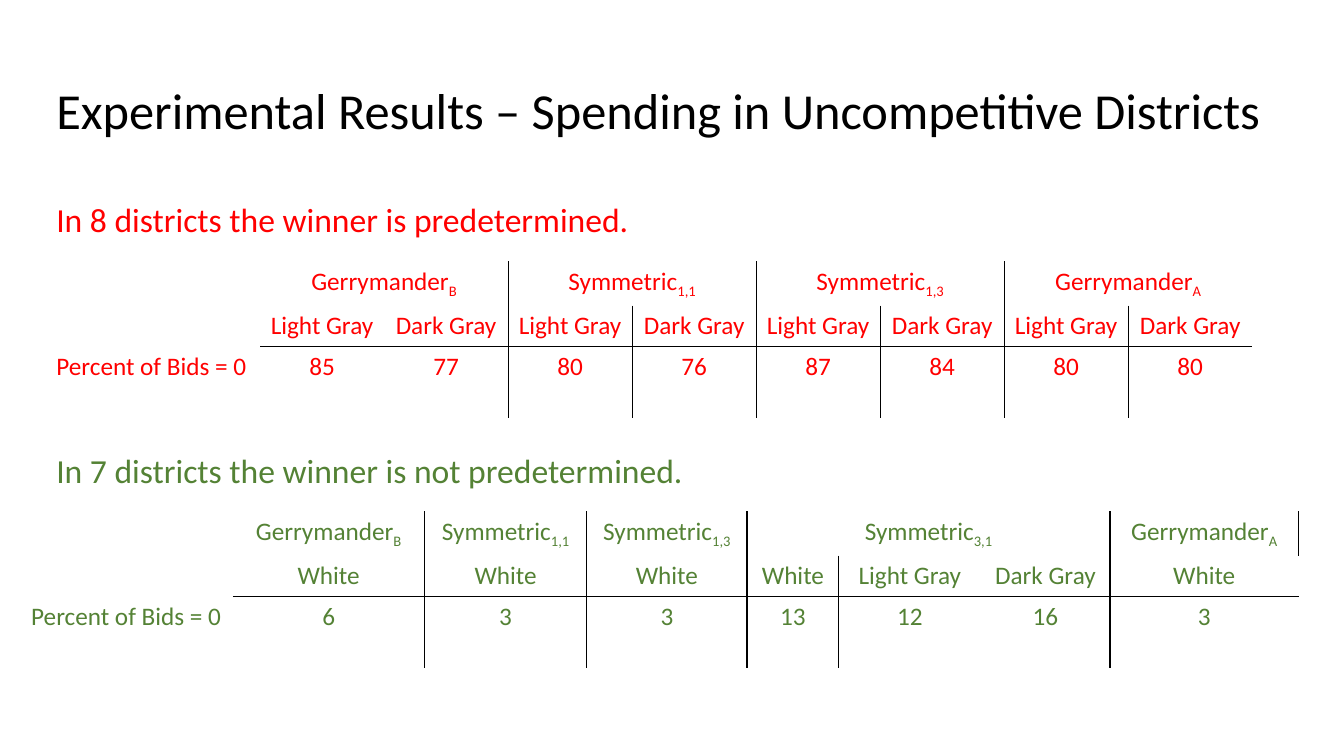
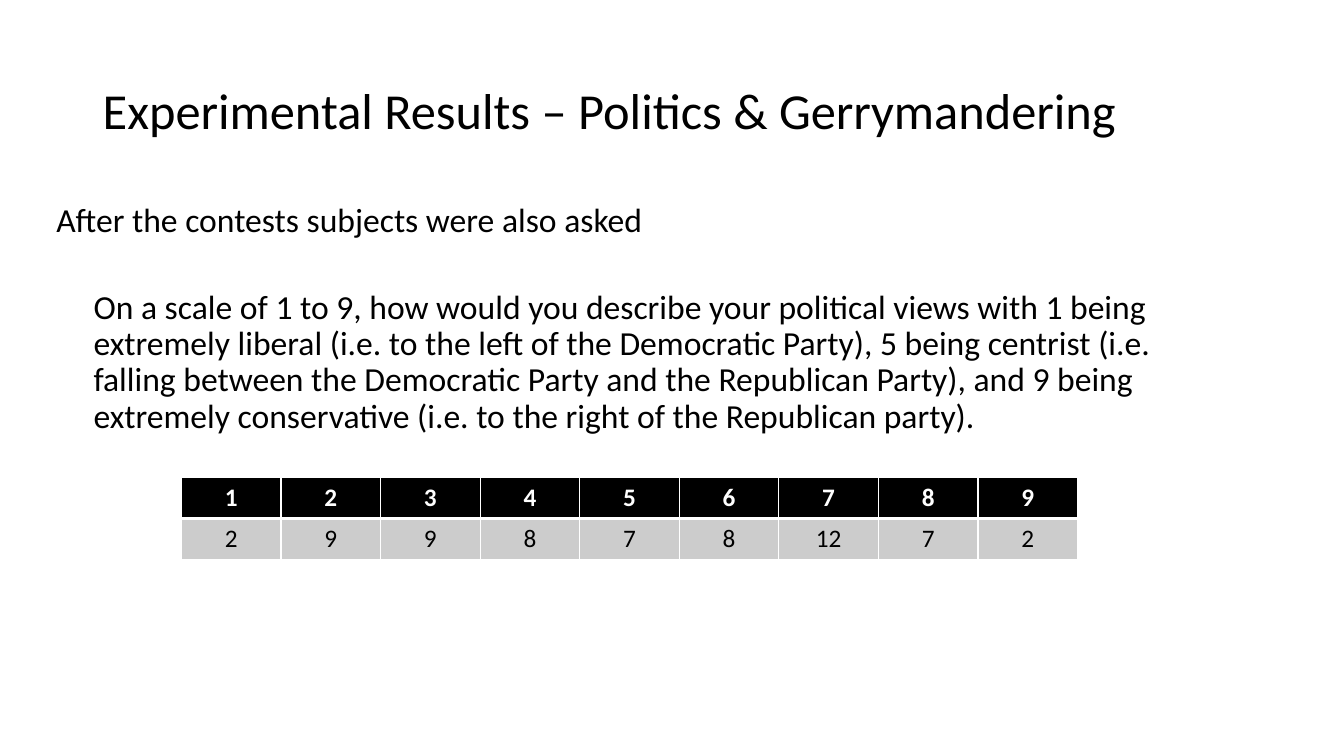
from dataclasses import dataclass

from lxml.etree import SubElement
from pptx import Presentation
from pptx.dml.color import RGBColor
from pptx.enum.text import MSO_ANCHOR as Anchor, PP_ALIGN as Align
from pptx.oxml.ns import qn
from pptx.util import Inches, Pt


@dataclass(frozen=True)
class Theme:
    font: str = "Calibri"
    title_size: int = 36
    body_size: int = 24
    table_size: int = 18
    black: str = "000000"
    white: str = "FFFFFF"
    red: str = "FF0000"
    green: str = "548235"
    gray: str = "CCCCCC"
    plain_table: str = "{2D5ABB26-0587-4C30-8999-92F81FD0307C}"


theme = Theme()


def write(frame, text, size, color, align=Align.LEFT, bold=False, subscript=""):
    """Fill a text frame with one paragraph, optionally ending in a subscript."""
    paragraph = frame.paragraphs[0]
    paragraph.text = text
    paragraph.alignment = align
    if subscript:
        run = paragraph.add_run()
        run.text = subscript
        run._r.get_or_add_rPr().set("baseline", "-25000")
    for run in paragraph.runs:
        run.font.name = theme.font
        run.font.size = Pt(size)
        run.font.bold = bold
        run.font.color.rgb = RGBColor.from_string(color)
    return paragraph


def set_borders(cell, color, widths):
    """Draw the cell sides named in widths (L, R, T, B), in points."""
    properties = cell._tc.get_or_add_tcPr()
    for side in "LRTB":
        if side in widths:
            line = SubElement(properties, qn(f"a:ln{side}"), w=str(Pt(widths[side])))
            fill = SubElement(line, qn("a:solidFill"))
            SubElement(fill, qn("a:srgbClr"), val=color)


presentation = Presentation()
presentation.slide_width = Inches(13.33)
presentation.slide_height = Inches(7.5)
blank_layout = presentation.slide_layouts[6]

# Titles and body text: text, left, top, width, height, size, color
slide_texts = [
    [
        ("Experimental Results – Spending in Uncompetitive Districts",
         0.46, 0.4, 12.42, 1.45, theme.title_size, theme.black),
        ("In 8 districts the winner is predetermined.",
         0.46, 1.97, 12.42, 0.5, theme.body_size, theme.red),
        ("In 7 districts the winner is not predetermined.",
         0.46, 4.46, 12.42, 0.5, theme.body_size, theme.green),
    ],
    [
        ("Experimental Results – Politics & Gerrymandering",
         0.92, 0.4, 11.5, 1.45, theme.title_size, theme.black),
        ("After the contests subjects were also asked",
         0.46, 1.97, 12.42, 0.5, theme.body_size, theme.black),
        ("On a scale of 1 to 9, how would you describe your political views with 1 being "
         "extremely liberal (i.e. to the left of the Democratic Party), 5 being centrist (i.e. "
         "falling between the Democratic Party and the Republican Party), and 9 being "
         "extremely conservative (i.e. to the right of the Republican party).",
         0.83, 2.83, 10.9, 1.6, theme.body_size, theme.black),
    ],
]
slides = []
for texts in slide_texts:
    slide = presentation.slides.add_slide(blank_layout)
    slides.append(slide)
    for text, left, top, width, height, size, color in texts:
        shape = slide.shapes.add_textbox(
            Inches(left), Inches(top), Inches(width), Inches(height))
        frame = shape.text_frame
        frame.word_wrap = True
        is_title = size == theme.title_size
        frame.vertical_anchor = Anchor.MIDDLE if is_title else Anchor.TOP
        write(frame, text, size, color).line_spacing = 0.9
results_slide, politics_slide = slides

# Bid tables: left, top, color, column widths, columns with a line on their left, groups
gray_pair = ("Light Gray", "Dark Gray")
bid_tables = [
    (0.46, 2.59, theme.red, [2.12] + [1.23] * 8, range(3, 9), [
        ("Gerrymander", "B", gray_pair, (85, 77)),
        ("Symmetric", "1,1", gray_pair, (80, 76)),
        ("Symmetric", "1,3", gray_pair, (87, 84)),
        ("Gerrymander", "A", gray_pair, (80, 80)),
    ]),
    (0.21, 5.07, theme.green, [2.1, 1.9, 1.61, 1.59, 0.91, 1.41, 1.28, 1.87], (2, 3, 4, 7), [
        ("Gerrymander", "B", ("White",), (6,)),
        ("Symmetric", "1,1", ("White",), (3,)),
        ("Symmetric", "1,3", ("White",), (3,)),
        ("Symmetric", "3,1", ("White",) + gray_pair, (13, 12, 16)),
        ("Gerrymander", "A", ("White",), (3,)),
    ]),
]
row_heights = (0.42, 0.41, 0.71)

for left, top, color, widths, dividers, groups in bid_tables:
    shape = results_slide.shapes.add_table(
        len(row_heights), len(widths), Inches(left), Inches(top),
        Inches(sum(widths)), Inches(sum(row_heights)))
    table = shape.table
    table.first_row = table.horz_banding = False
    next(shape.element.iter(qn("a:tableStyleId"))).text = theme.plain_table
    for column, width in zip(table.columns, widths):
        column.width = Inches(width)
    for row, height in zip(table.rows, row_heights):
        row.height = Inches(height)
    write(table.cell(2, 0).text_frame, "Percent of Bids = 0", theme.table_size, color)

    # row, column, span, text, subscript
    entries = []
    start = 1
    for name, subscript, shades, percents in groups:
        span = len(shades)
        if span > 1:
            table.cell(0, start).merge(table.cell(0, start + span - 1))
        entries.append((0, start, span, name, subscript))
        for column, (shade, percent) in enumerate(zip(shades, percents), start):
            entries += [(1, column, 1, shade, ""), (2, column, 1, str(percent), "")]
        start += span

    for row, column, span, text, subscript in entries:
        cell = table.cell(row, column)
        cell.vertical_anchor = Anchor.TOP if row == 2 else Anchor.MIDDLE
        write(cell.text_frame, text, theme.table_size, color, Align.CENTER,
              subscript=subscript)
        drawn = {"L": column in dividers, "R": column + span in dividers,
                 "T": row == 2, "B": row == 1}
        set_borders(cell, theme.black, {side: 1 for side in drawn if drawn[side]})
    for cell in table.iter_cells():
        cell.fill.background()

# Political views: answers per point of the scale
answers = (2, 9, 9, 8, 7, 8, 12, 7, 2)
shape = politics_slide.shapes.add_table(
    2, len(answers), Inches(1.8), Inches(4.74), Inches(8.89), Inches(0.81))
next(shape.element.iter(qn("a:tableStyleId"))).text = theme.plain_table
views_table = shape.table
for column, answer in enumerate(answers):
    for row, value, color, fill, bold, top_line, bottom_line in (
        (0, column + 1, theme.white, theme.black, True, 1, 3),
        (1, answer, theme.black, theme.gray, False, 3, 1),
    ):
        cell = views_table.cell(row, column)
        write(cell.text_frame, str(value), theme.table_size, color, Align.CENTER, bold)
        set_borders(cell, theme.white, {"L": 1, "R": 1, "T": top_line, "B": bottom_line})
        cell.fill.solid()
        cell.fill.fore_color.rgb = RGBColor.from_string(fill)

presentation.save("out.pptx")
